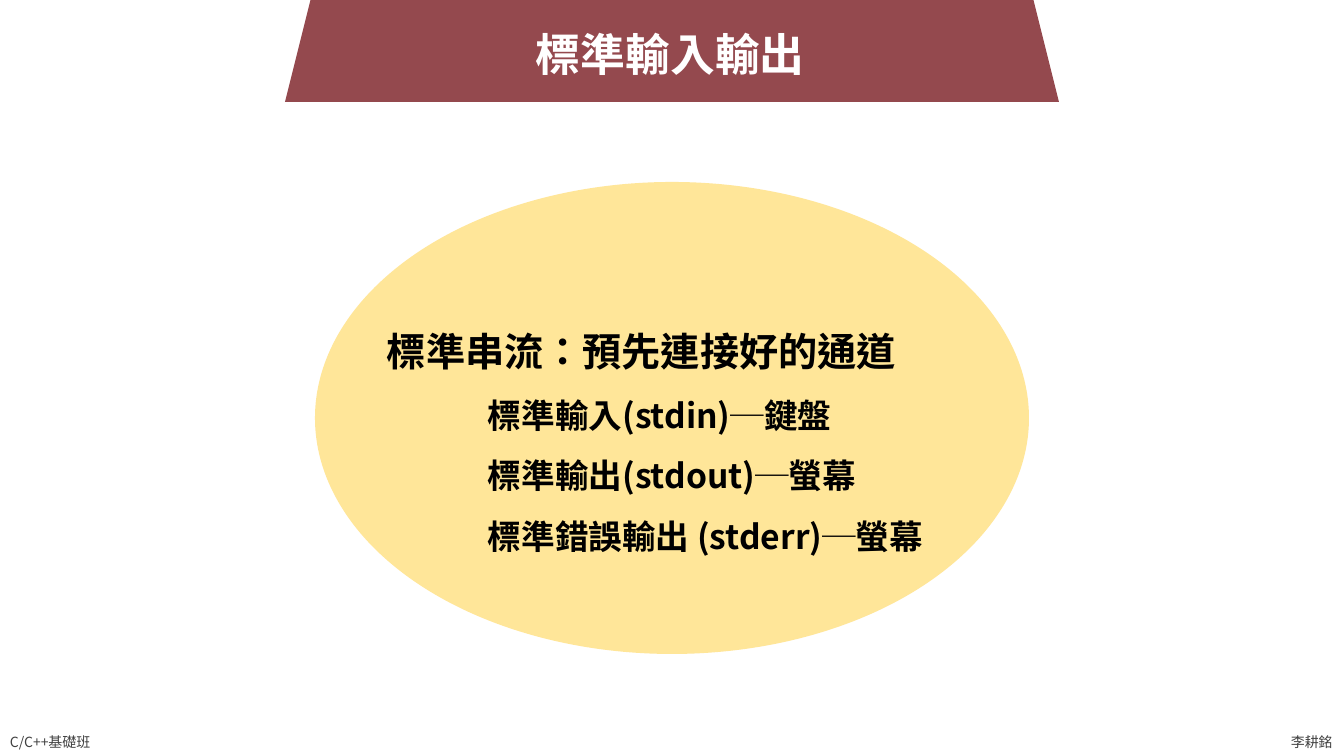
from pptx import Presentation, util as u
from pptx.dml.color import RGBColor
from pptx.enum import shapes, text
from pptx.oxml.ns import qn
from lxml import etree


def color(value):
    return RGBColor.from_string(value)


class Deck:
    PX = 914400 / 100.8
    FONT = "Noto Sans CJK TC"
    TAB = 101

    def __init__(self, width, height):
        self.prs = Presentation()
        self.prs.slide_width, self.prs.slide_height = self.emu(width, height)
        self.s = self.prs.slides.add_slide(self.prs.slide_layouts[6])

    def emu(self, *lengths):
        return [u.Emu(round(n * self.PX)) for n in lengths]

    def shape(self, kind, box, fill):
        sp = self.s.shapes.add_shape(kind, *self.emu(*box))
        sp.shadow.inherit = False
        sp.fill.solid()
        sp.fill.fore_color.rgb = color(fill)
        sp.line.fill.background()

    def tab_stop(self, p):
        tabs = etree.SubElement(p._p.get_or_add_pPr(), qn("a:tabLst"))
        etree.SubElement(tabs, qn("a:tab"), pos=str(self.emu(self.TAB)[0]), algn="l")

    def text(self, box, lines, fill, bold=False, wrap=False, spacing=None,
             anchor=text.MSO_ANCHOR.MIDDLE):
        """Add a text box from (wording, point size) lines."""
        tf = self.s.shapes.add_textbox(*self.emu(*box)).text_frame
        tf.word_wrap = wrap
        tf.auto_size = text.MSO_AUTO_SIZE.SHAPE_TO_FIT_TEXT
        tf.vertical_anchor = anchor
        tf.text = "\n".join(wording for wording, size in lines)
        for p, (wording, size) in zip(tf.paragraphs, lines):
            if wording.startswith("\t"):
                self.tab_stop(p)
            p.line_spacing = spacing
            for r in p.runs:
                r.font.size = u.Pt(size)
                r.font.bold = bold
                r.font.name = self.FONT
                r.font.color.rgb = color(fill)
                # East Asian glyphs take their own typeface and language
                rPr = r.font._element
                rPr.set("lang", "zh-TW")
                ea = rPr.makeelement(qn("a:ea"), {"typeface": self.FONT})
                rPr.find(qn("a:latin")).addnext(ea)


def main():
    deck = Deck(1344, 756)

    # Title banner
    deck.shape(shapes.MSO_SHAPE.TRAPEZOID, (285, -21, 774, 123), "94494E")
    deck.text((526, 21, 291, 65), [("標準輸入輸出", 32)], "FFFFFF", bold=True)

    # Standard streams
    deck.shape(shapes.MSO_SHAPE.OVAL, (315, 182, 714, 472), "FFE699")
    streams = ["標準輸入(stdin)─鍵盤", "標準輸出(stdout)─螢幕", "標準錯誤輸出 (stderr)─螢幕"]
    lines = [("標準串流：預先連接好的通道", 28)] + [("\t" + name, 24) for name in streams]
    deck.text((377, 299, 672, 257), lines, "000000", bold=True, wrap=True,
              spacing=1.5, anchor=text.MSO_ANCHOR.TOP)

    # Footer
    deck.text((0, 729, 108, 27), [("C/C++基礎班", 10)], "404040",
              anchor=text.MSO_ANCHOR.TOP)
    deck.text((1281, 728, 63, 27), [("李耕銘", 10)], "404040")

    deck.prs.save("out.pptx")


if __name__ == "__main__":
    main()
